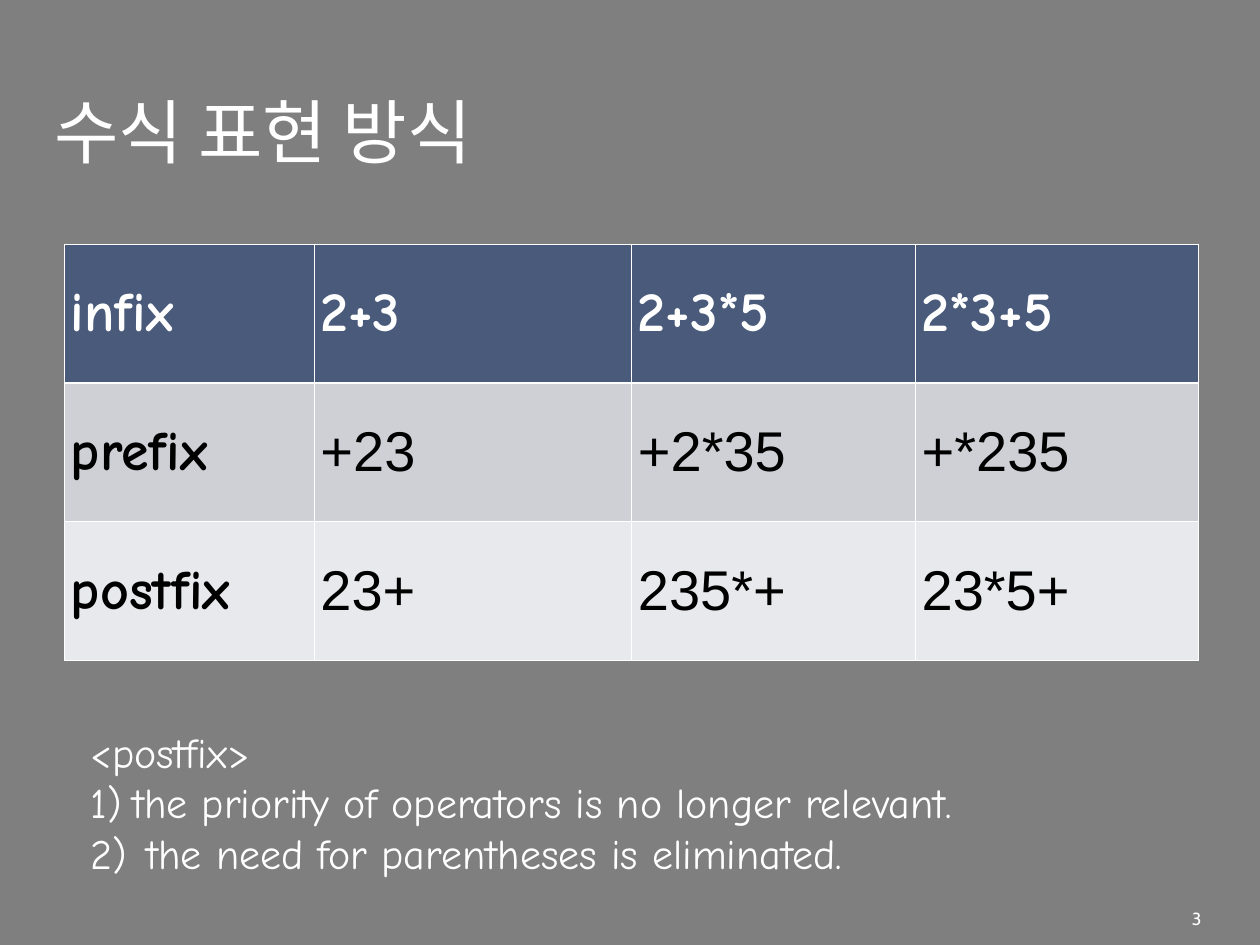
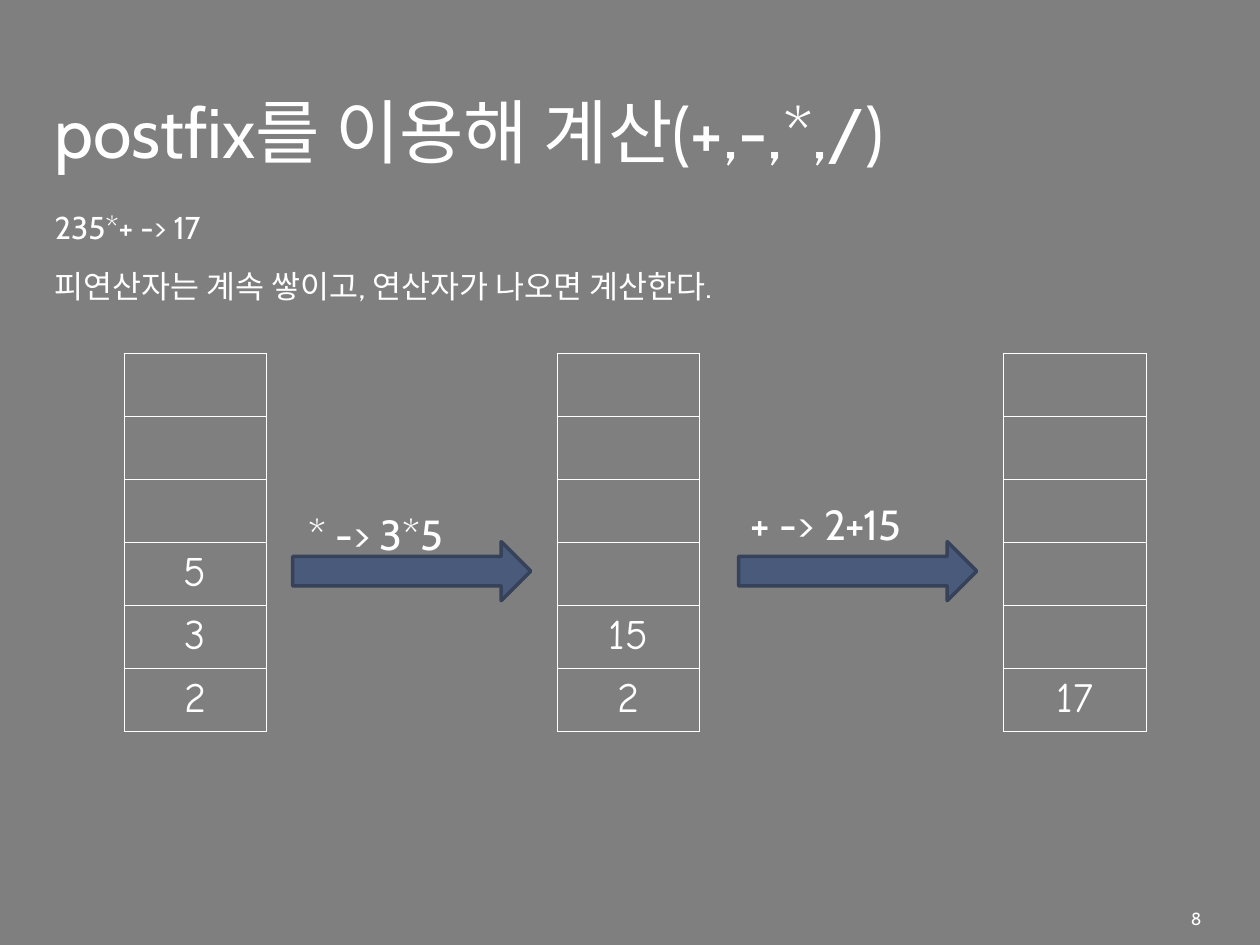
import lxml.etree
import pptx
import pptx.dml.color
import pptx.enum.shapes
import pptx.enum.text
import pptx.oxml.ns
import pptx.util

Cm = pptx.util.Cm
Pt = pptx.util.Pt
ALIGN = pptx.enum.text.PP_ALIGN
ANCHOR = pptx.enum.text.MSO_ANCHOR

WHITE, BLACK = "FFFFFF", "000000"
NAVY, NAVY_EDGE = "4A5A7A", "364259"
BAND_DARK, BAND_LIGHT = "CED0D6", "E8E9EC"
CABIN, COMIC, ARIAL = "Cabin", "Comic Neue", "Arial"
INSET = 0.13
SLIDE_BOX = (0, 0, 25.4, 19.05)
TITLE_BOX = (0.97, 0.64, 21.34, 2.97)
NUMBER_BOX = (21.91, 18.17, 2.44, 0.69)


def color(value):
    return pptx.dml.color.RGBColor.from_string(value)


def lengths(box):
    return [Cm(value) for value in box]


def add_child(parent, tag, **attributes):
    child = lxml.etree.SubElement(parent, pptx.oxml.ns.qn(tag))
    for name, value in attributes.items():
        child.set(name, str(value))
    return child


def add_run(paragraph, text, size, font=CABIN, ink=WHITE, bold=False):
    run = paragraph.add_run()
    run.text = text
    run.font.size = Pt(size)
    run.font.name = font
    run.font.bold = bold
    run.font.color.rgb = color(ink)
    add_child(run.font._element, "a:ea", typeface=font)


def set_margins(target):
    for side in ("left", "top", "right", "bottom"):
        setattr(target, f"margin_{side}", Cm(INSET))


def prepare_frame(shape, anchor=ANCHOR.TOP):
    frame = shape.text_frame
    frame.word_wrap = True
    frame.auto_size = pptx.enum.text.MSO_AUTO_SIZE.NONE
    frame.vertical_anchor = anchor
    set_margins(frame)
    return frame


def place(shape, box):
    shape.left, shape.top, shape.width, shape.height = lengths(box)


def add_outline(slide, box):
    left, top, width, height = lengths(box)
    builder = slide.shapes.build_freeform(left, top)
    builder.add_line_segments([(left + width, top), (left + width, top + height),
                               (left, top + height)])
    shape = builder.convert_to_shape()
    shape.shadow.inherit = False
    shape.fill.background()
    shape.line.fill.background()
    return shape


def add_label(slide, box, text, size, align=ALIGN.LEFT, anchor=ANCHOR.TOP):
    frame = prepare_frame(add_outline(slide, box), anchor)
    paragraph = frame.paragraphs[0]
    paragraph.alignment = align
    add_run(paragraph, text, size)


def add_master_veil(presentation, slide):
    veil = add_outline(slide, SLIDE_BOX)
    veil.fill.solid()
    veil.fill.fore_color.rgb = color(BLACK)
    ink = veil._element.spPr.find(".//" + pptx.oxml.ns.qn("a:srgbClr"))
    add_child(ink, "a:alpha", val=50000)
    presentation.slide_master.shapes._spTree.insert(2, veil._element)


def fill_body(slide, box, lines, size, font, gap=0, hanging=0):
    body = slide.placeholders[1]
    place(body, box)
    frame = prepare_frame(body)
    for index, (text, numbered) in enumerate(lines):
        paragraph = frame.add_paragraph() if index else frame.paragraphs[0]
        paragraph.space_before = Pt(gap if index else 0)
        properties = paragraph._p.get_or_add_pPr()
        properties.set("marL", str(Cm(hanging)))
        properties.set("indent", str(-Cm(hanging)))
        if numbered:
            bullet_color = add_child(properties, "a:buClr")
            add_child(bullet_color, "a:srgbClr", val=WHITE)
            add_child(properties, "a:buFont", typeface=font)
            add_child(properties, "a:buAutoNum", type="arabicParenR")
        else:
            add_child(properties, "a:buNone")
        add_run(paragraph, text, size, font)


def set_borders(cell, **special_widths):
    properties = cell._tc.get_or_add_tcPr()
    borders = []
    for side in "LRTB":
        width = special_widths.get(side, 0.45)
        line = lxml.etree.Element(pptx.oxml.ns.qn(f"a:ln{side}"))
        line.set("w", str(Pt(width)))
        add_child(add_child(line, "a:solidFill"), "a:srgbClr", val=WHITE)
        borders.append(line)
    properties[:0] = borders


def add_grid(slide, left, top, column_widths, row_height, row_count):
    frame = slide.shapes.add_table(
        row_count, len(column_widths),
        *lengths((left, top, sum(column_widths), row_height * row_count)))
    table = frame.table
    table.first_row = table.horz_banding = False
    for column, width in zip(table.columns, column_widths):
        column.width = Cm(width)
    for row in table.rows:
        row.height = Cm(row_height)
    for cell in table.iter_cells():
        set_margins(cell)
    return table


def add_notation_table(slide, left, top):
    rows = [("infix", "2+3", "2+3*5", "2*3+5"),
            ("prefix", "+23", "+2*35", "+*235"),
            ("postfix", "23+", "235*+", "23*5+")]
    fills = [NAVY, BAND_DARK, BAND_LIGHT]
    table = add_grid(slide, left, top, [5.03, 6.4, 5.72, 5.71], 2.8, len(rows))
    header_rule = [{"B": 1.47}, {"T": 1.47}, {}]
    for row_index, texts in enumerate(rows):
        for column_index, text in enumerate(texts):
            cell = table.cell(row_index, column_index)
            cell.vertical_anchor = ANCHOR.MIDDLE
            cell.fill.solid()
            cell.fill.fore_color.rgb = color(fills[row_index])
            set_borders(cell, **header_rule[row_index])
            heading = row_index == 0 or column_index == 0
            add_run(cell.text_frame.paragraphs[0], text, 32,
                    COMIC if heading else ARIAL,
                    BLACK if row_index else WHITE, heading)


def add_stack(slide, left, top, values, depth=6):
    table = add_grid(slide, left, top, [2.87], 1.27, depth)
    contents = [""] * (depth - len(values)) + values
    for cell, text in zip(table.iter_cells(), contents):
        cell.fill.background()
        set_borders(cell)
        if text:
            paragraph = cell.text_frame.paragraphs[0]
            paragraph.alignment = ALIGN.CENTER
            add_run(paragraph, text, 24, COMIC)


def add_step(slide, left, top, text, label_shift, label_rise, label_width):
    arrow = slide.shapes.add_shape(
        pptx.enum.shapes.MSO_SHAPE.RIGHT_ARROW, *lengths((left, top, 4.8, 1.19)))
    arrow.shadow.inherit = False
    arrow.fill.solid()
    arrow.fill.fore_color.rgb = color(NAVY)
    arrow.line.color.rgb = color(NAVY_EDGE)
    arrow.line.width = Pt(2)
    label_box = (left + label_shift, top - label_rise, label_width, 1.24)
    add_label(slide, label_box, text, 24)


def add_base_slide(presentation, title, number):
    slide = presentation.slides.add_slide(presentation.slide_layouts[1])
    place(slide.shapes.title, TITLE_BOX)
    frame = prepare_frame(slide.shapes.title, ANCHOR.BOTTOM)
    paragraph = frame.paragraphs[0]
    paragraph.alignment = ALIGN.LEFT
    add_run(paragraph, title, 40)
    add_label(slide, NUMBER_BOX, number, 10, ALIGN.RIGHT, ANCHOR.MIDDLE)
    return slide


def add_notation_slide(presentation):
    slide = add_base_slide(presentation, "수식 표현 방식", "3")
    add_notation_table(slide, 1.3, 4.92)
    lines = [("<postfix>", False),
             ("the priority of operators is no longer relevant.", True),
             (" the need for parentheses is eliminated.", True)]
    fill_body(slide, (1.7, 14.51, 19.74, 3.76), lines, 24, COMIC, hanging=0.84)
    return slide


def add_evaluation_slide(presentation):
    slide = add_base_slide(presentation, "postfix를 이용해 계산(+,-,*,/)", "8")
    lines = [("235*+ -> 17", False),
             ("피연산자는 계속 쌓이고, 연산자가 나오면 계산한다.", False)]
    fill_body(slide, (0.97, 4.06, 21.34, 13.13), lines, 18, CABIN, gap=12)
    stacks = [(2.5, ["5", "3", "2"]), (11.23, ["15", "2"]), (20.23, ["17"])]
    for left, values in stacks:
        add_stack(slide, left, 7.12, values)
    add_step(slide, 5.9, 10.92, "* -> 3*5", 0.18, 0.79, 3.07)
    add_step(slide, 14.89, 10.92, "+ -> 2+15", 0.12, 1.01, 3.78)


def main():
    presentation = pptx.Presentation()
    presentation.slide_width, presentation.slide_height = lengths(SLIDE_BOX[2:])
    background = presentation.slide_master.background.fill
    background.solid()
    background.fore_color.rgb = color(WHITE)
    add_master_veil(presentation, add_notation_slide(presentation))
    add_evaluation_slide(presentation)
    presentation.save("out.pptx")


if __name__ == "__main__":
    main()
